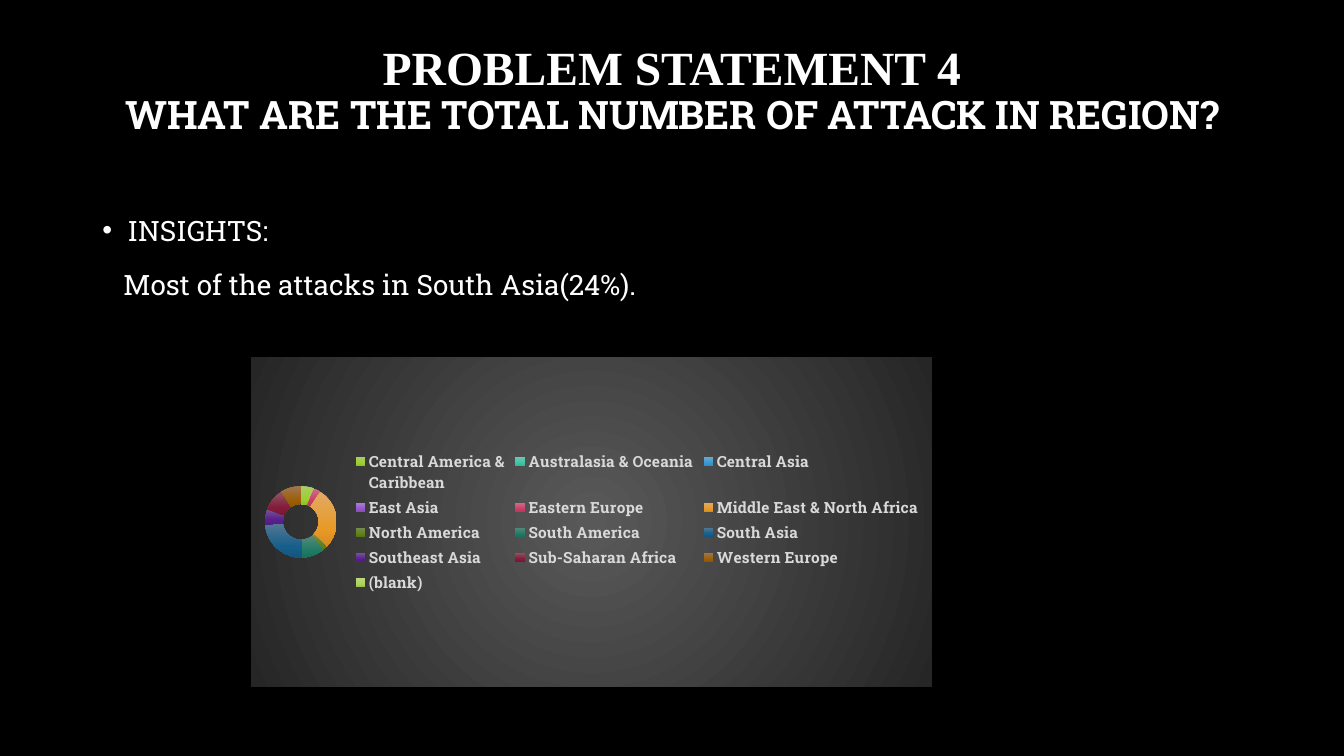
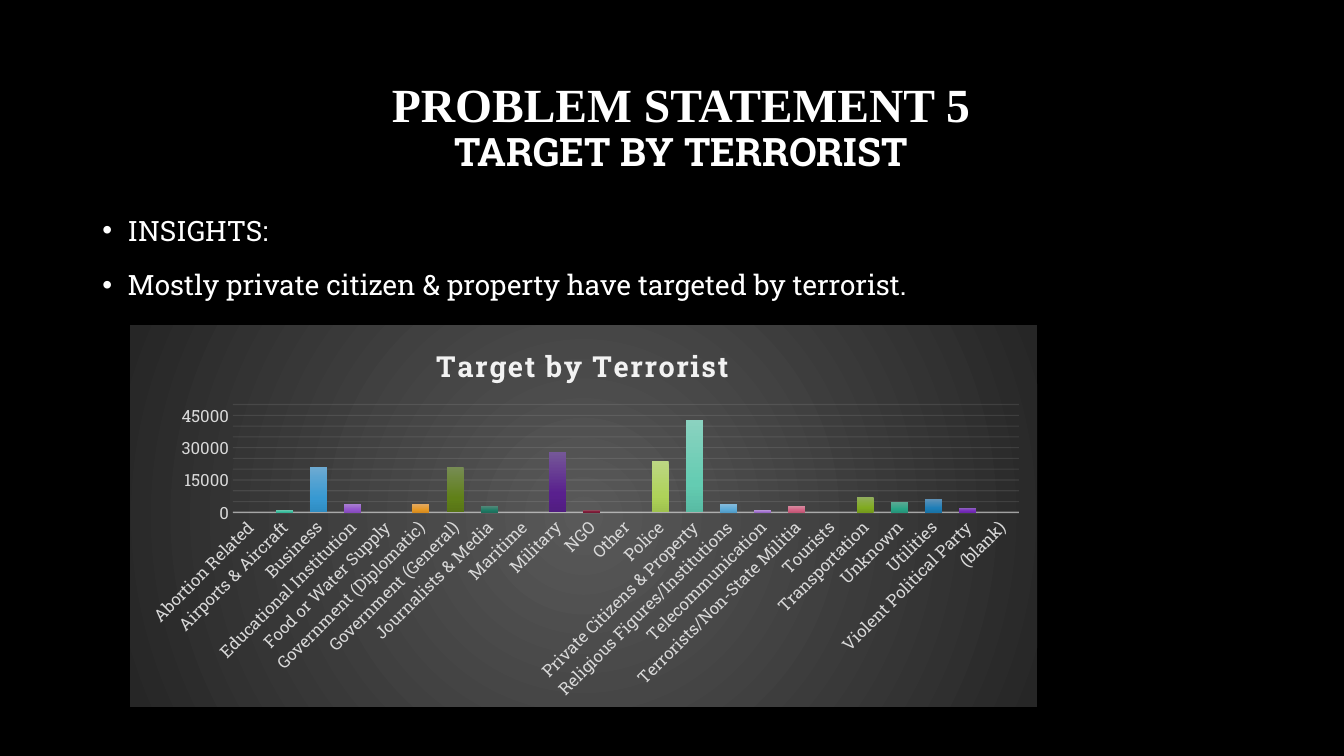
from lxml.etree import SubElement, fromstring
from pptx import Presentation
from pptx.chart.data import CategoryChartData
from pptx.dml.color import RGBColor
from pptx.enum.chart import XL_CHART_TYPE, XL_LEGEND_POSITION, XL_TICK_MARK
from pptx.enum.text import MSO_ANCHOR, MSO_AUTO_SIZE, PP_ALIGN
from pptx.oxml.ns import nsdecls, qn
from pptx.util import Pt

POINT_GRADIENTS = [
    "ABCC69 9ECF2E 90BC2A", "70C6AF 3EC4A3 37B395", "6DAAD2 3799D2 2F8CC2",
    "A981D1 9456CD 864BBC", "CC7087 CA3D66 BA355B", "E2AA66 E79926 D68B1F",
    "778C54 608018 587416", "57897A 1F7B65 1C705C", "547794 165F8A 14567D",
    "755898 59208E 511D81", "8F5662 831B39 771934", "A17750 9B5F06 8D5606",
    "BDD784 AED359 9FC24E", "8BD2C0 64CCB2 58BBA3", "88BCDC 5DABD8 529CC7",
    "BC9BDB A776D4 9769C3", "D78BA0 D26283 C15775", "E8BC81 E9AB50 D79C45",
    "91AD5D 81AB20 759B1D", "61A995 2AA586 26957A", "5D91B7 1D7EB8 1A73A7",
    "8F64BE 772BBD 6C27AC", "B15F72 AF244C 9E2145",
]

REGION_SHARES = {
    "Central America & Caribbean": 6, "Australasia & Oceania": 0,
    "Central Asia": 0, "East Asia": 0, "Eastern Europe": 3,
    "Middle East & North Africa": 28, "North America": 2,
    "South America": 10, "South Asia": 24, "Southeast Asia": 7,
    "Sub-Saharan Africa": 10, "Western Europe": 9, "(blank)": None,
}

TARGET_COUNTS = {
    "Abortion Related": 0, "Airports & Aircraft": 1000, "Business": 21000,
    "Educational Institution": 4000, "Food or Water Supply": 0,
    "Government (Diplomatic)": 4000, "Government (General)": 21000,
    "Journalists & Media": 3000, "Maritime": 0, "Military": 28000,
    "NGO": 1000, "Other": 0, "Police": 24000,
    "Private Citizens & Property": 43000,
    "Religious Figures/Institutions": 4000, "Telecommunication": 1000,
    "Terrorists/Non-State Militia": 3000, "Tourists": 0,
    "Transportation": 7000, "Unknown": 5000, "Utilities": 6000,
    "Violent Political Party": 2000, "(blank)": None,
}


def color(value):
    return RGBColor.from_string(value)


def gradient(stops, direction):
    marks = "".join(
        f'<a:gs pos="{position * 1000}"><a:srgbClr val="{value}"/></a:gs>'
        for position, value in stops
    )
    return fromstring(
        f'<a:gradFill {nsdecls("a")} rotWithShape="1">'
        f"<a:gsLst>{marks}</a:gsLst>{direction}</a:gradFill>"
    )


class Deck:
    serif = "Times New Roman"
    slab = "Roboto Slab"
    white = "FFFFFF"
    pale = "F2F2F2"
    gray = "D9D9D9"
    black = "000000"

    def __init__(self):
        self.presentation = Presentation()
        self.presentation.slide_width = Pt(960)
        self.presentation.slide_height = Pt(540)
        fill = self.presentation.slide_master.background.fill
        fill.solid()
        fill.fore_color.rgb = color(self.black)
        self.slide = None

    def add_slide(self):
        layout = self.presentation.slide_layouts[1]
        self.slide = self.presentation.slides.add_slide(layout)

    def style(self, font, size, value, bold=False, name=slab):
        font.name = name
        font.size = Pt(size)
        font.bold = bold
        font.color.rgb = color(value)

    def place(self, shape, box):
        shape.left, shape.top, shape.width, shape.height = map(Pt, box)
        shape.text_frame.word_wrap = True
        shape.text_frame.auto_size = MSO_AUTO_SIZE.NONE

    def title(self, heading, question, box):
        shape = self.slide.shapes.title
        self.place(shape, box)
        frame = shape.text_frame
        frame.vertical_anchor = MSO_ANCHOR.MIDDLE
        frame.text = f"{heading}\n{question}"
        looks = [(34, self.serif), (28, self.slab)]
        for paragraph, (size, name) in zip(frame.paragraphs, looks):
            paragraph.alignment = PP_ALIGN.CENTER
            paragraph.line_spacing = 0.9
            self.style(paragraph.runs[0].font, size, self.white, True, name)

    def body(self, lines, box):
        shape = self.slide.placeholders[1]
        self.place(shape, box)
        frame = shape.text_frame
        frame.text = "\n".join(text for text, bulleted in lines)
        for paragraph, (text, bulleted) in zip(frame.paragraphs, lines):
            paragraph.line_spacing = 1.2
            paragraph.space_before = Pt(10)
            properties = paragraph._p.get_or_add_pPr()
            properties.set("marL", str(Pt(18 if bulleted else 15)))
            properties.set("indent", str(Pt(-18 if bulleted else 0)))
            if bulleted:
                SubElement(properties, qn("a:buChar")).set("char", "•")
            else:
                SubElement(properties, qn("a:buNone"))
            self.style(paragraph.runs[0].font, 20, self.white)

    def chart(self, kind, values, box):
        data = CategoryChartData()
        data.categories = list(values)
        data.add_series("Series 1", list(values.values()))
        chart = self.slide.shapes.add_chart(kind, *map(Pt, box), data).chart
        chart.has_title = False
        chart.has_legend = False
        self.style(chart.font, 10, self.white)
        self.chart_background(chart)
        series = chart.plots[0].series[0]
        for index, stops in zip(range(len(values)), POINT_GRADIENTS):
            form = series.points[index].format
            form.line.fill.background()
            fill = gradient(
                zip((0, 69, 100), stops.split()),
                '<a:lin ang="5400000" scaled="0"/>',
            )
            form._element.get_or_add_spPr().insert(0, fill)
        return chart

    def chart_background(self, chart):
        properties = fromstring(f'<c:spPr {nsdecls("c", "a")}/>')
        properties.append(gradient(
            [(0, "595959"), (100, "262626")],
            '<a:path path="circle"><a:fillToRect l="50000" t="50000" '
            'r="50000" b="50000"/></a:path>',
        ))
        line = SubElement(properties, qn("a:ln"))
        SubElement(line, qn("a:noFill"))
        chart._chartSpace.find(qn("c:chart")).addnext(properties)

    def chart_layout(self, element, index, chart_box, part_box):
        for layout in element.findall(qn("c:layout")):
            element.remove(layout)
        layout = fromstring(f'<c:layout {nsdecls("c")}/>')
        manual = SubElement(layout, qn("c:manualLayout"))
        settings = {"layoutTarget": "inner"} if len(part_box) == 4 else {}
        settings.update(xMode="edge", yMode="edge")
        for name, length, whole in zip("xywh", part_box, chart_box[2:] * 2):
            settings[name] = length / whole
        for name, value in settings.items():
            SubElement(manual, qn(f"c:{name}")).set("val", str(value))
        element.insert(index, layout)

    def line(self, line, width, opacity):
        line.width = Pt(width)
        line.color.rgb = color(self.pale)
        mark = line._get_or_add_ln().find(".//" + qn("a:srgbClr"))
        SubElement(mark, qn("a:alpha")).set("val", str(opacity * 1000))

    def doughnut(self, values, box):
        chart = self.chart(XL_CHART_TYPE.DOUGHNUT, values, box)
        plot = chart.plots[0]
        plot.vary_by_categories = True
        plot._element.find(qn("c:holeSize")).set("val", "75")
        chart.has_legend = True
        legend = chart.legend
        legend.position = XL_LEGEND_POSITION.RIGHT
        legend.include_in_layout = False
        self.style(legend.font, 11, self.gray, True)

    def columns(self, heading, values, box):
        chart = self.chart(XL_CHART_TYPE.COLUMN_CLUSTERED, values, box)
        plot = chart.plots[0]
        plot.vary_by_categories = False
        plot.gap_width = 100
        plot.overlap = -24
        area = chart._chartSpace.find(qn("c:chart")).find(qn("c:plotArea"))
        self.chart_layout(area, 0, box, (73.5, 56.5, 561.5, 77))

        chart.has_title = True
        title = chart.chart_title
        title.text_frame.text = heading
        run = title.text_frame.paragraphs[0].runs[0]
        self.style(run.font, 20.7, self.pale, True)
        run._r.get_or_add_rPr().set("spc", "100")
        self.chart_layout(title._element, 1, box, (215, 9))

        for axis in (chart.category_axis, chart.value_axis):
            axis.major_tick_mark = XL_TICK_MARK.NONE
            axis.minor_tick_mark = XL_TICK_MARK.NONE
            self.style(axis.tick_labels.font, 12, self.gray)
        self.line(chart.category_axis.format.line, 1, 54)
        labels = chart.category_axis._element.find(qn("c:txPr"))
        labels.find(qn("a:bodyPr")).set("rot", "-2700000")

        axis = chart.value_axis
        axis.minimum_scale = 0
        axis.maximum_scale = 50000
        axis.major_unit = 5000
        axis.format.line.fill.background()
        axis.has_major_gridlines = True
        self.line(axis.major_gridlines.format.line, 0.75, 10)


def main():
    deck = Deck()

    deck.add_slide()
    deck.title(
        "PROBLEM STATEMENT 4",
        "WHAT ARE THE TOTAL NUMBER OF ATTACK IN REGION?",
        (66, 13, 828, 104.4),
    )
    deck.body(
        [("INSIGHTS:", True),
         ("Most of the attacks in South Asia(24%).", False)],
        (66, 144, 828, 363.6),
    )
    deck.doughnut(REGION_SHARES, (179.4, 255, 486.2, 235.5))

    deck.add_slide()
    deck.title(
        "PROBLEM STATEMENT 5",
        "TARGET BY TERRORIST",
        (79, 39.6, 815, 104.4),
    )
    deck.body(
        [("INSIGHTS:", True),
         ("Mostly private citizen & property have targeted by terrorist.",
          True)],
        (66, 144, 828, 373.7),
    )
    deck.columns("Target by Terrorist", TARGET_COUNTS, (92.9, 232.5, 648, 272.3))

    deck.presentation.save("out.pptx")


if __name__ == "__main__":
    main()
